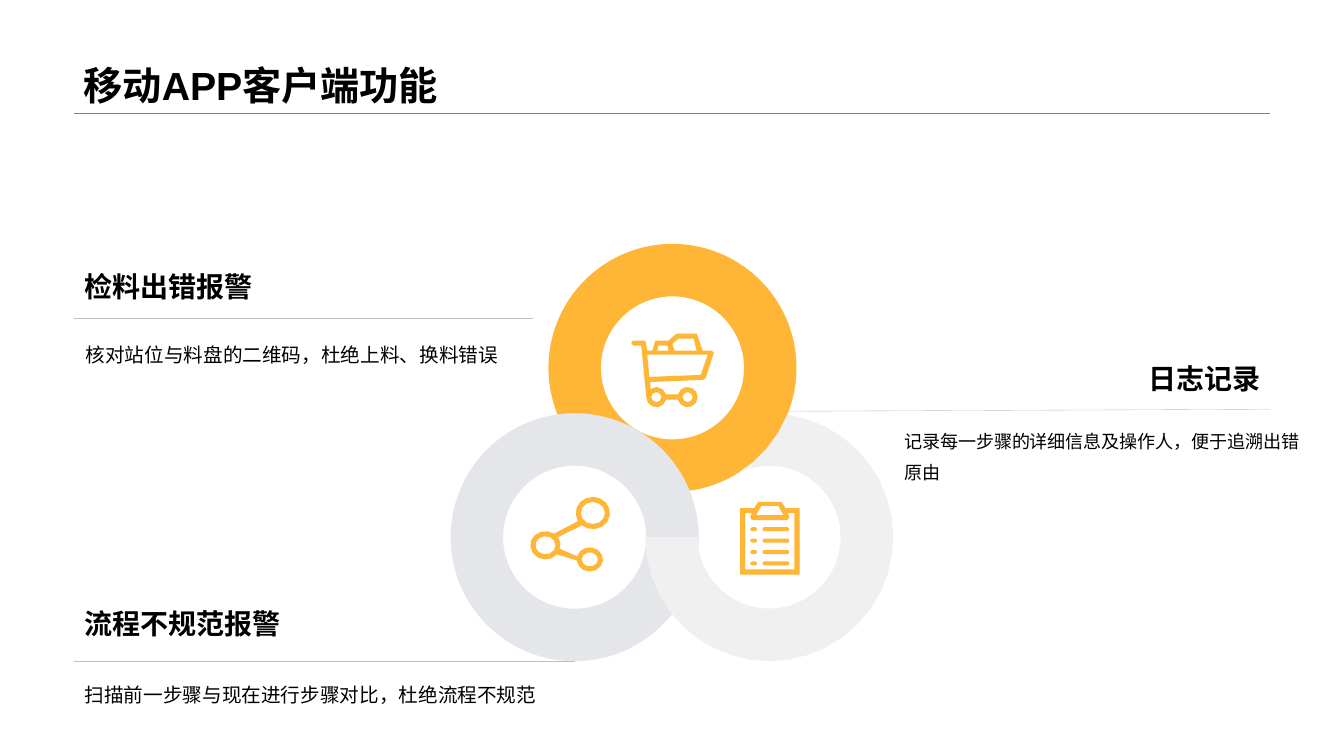
from dataclasses import dataclass
from math import cos, radians, sin, sqrt

from lxml import etree
from pptx import Presentation
from pptx.dml.color import RGBColor
from pptx.enum.shapes import MSO_CONNECTOR, MSO_SHAPE
from pptx.enum.text import MSO_ANCHOR, PP_ALIGN
from pptx.oxml.ns import qn
from pptx.util import Inches, Pt

STRAIGHT = MSO_CONNECTOR.STRAIGHT
DONUT = MSO_SHAPE.DONUT
TOP, MIDDLE, BOTTOM = MSO_ANCHOR.TOP, MSO_ANCHOR.MIDDLE, MSO_ANCHOR.BOTTOM
LEFT, RIGHT = PP_ALIGN.LEFT, PP_ALIGN.RIGHT
UNITS = 1000  # freeform units per inch


@dataclass(frozen=True)
class Theme:
    font: str = "Arial"
    ink: str = "000000"
    gold: str = "FFB535"
    steel: str = "E4E6EA"
    pale: str = "F0F0F0"
    rule: str = "808080"
    hair: str = "BFBFBF"
    title: float = 28
    head: float = 20
    body: float = 14
    small: float = 12.9


def arc(x, y, rx, ry, start, end):
    """Points along an ellipse, clockwise when end is above start."""
    # Small arcs need fewer points to look round
    steps = max(2, round(abs(end - start) * sqrt(rx) / 10))
    turns = [radians(start + (end - start) * i / steps)
             for i in range(steps + 1)]
    return [(x + rx * cos(t), y + ry * sin(t)) for t in turns]


def oval(x, y, rx, ry):
    return arc(x, y, rx, ry, 0, 360)[:-1]


def pill(left, right, y, r):
    return arc(left + r, y, r, r, 90, 270) + arc(right - r, y, r, r, -90, 90)


class Deck:
    def __init__(self, theme):
        self.theme = theme
        self.file = Presentation()
        self.file.slide_width = Inches(13.33)
        self.file.slide_height = Inches(7.5)
        self.slide = self.file.slides.add_slide(self.file.slide_layouts[6])
        self.shapes = self.slide.shapes

    def paint(self, shape, color):
        shape.shadow.inherit = False
        shape.fill.solid()
        shape.fill.fore_color.rgb = RGBColor.from_string(color)
        shape.line.fill.background()

    def text(self, words, box, size, bold=False, anchor=TOP, align=LEFT,
             space=None):
        frame = self.shapes.add_textbox(*map(Inches, box)).text_frame
        frame.word_wrap = True
        frame.vertical_anchor = anchor
        para = frame.paragraphs[0]
        para.alignment = align
        para.line_spacing = space
        run = para.add_run()
        run.text = words
        run.font.name = self.theme.font
        run.font.size = Pt(size)
        run.font.bold = bold
        run.font.color.rgb = RGBColor.from_string(self.theme.ink)

    def line(self, start, end, color):
        rule = self.shapes.add_connector(
            STRAIGHT, *map(Inches, start + end))
        rule.line.color.rgb = RGBColor.from_string(color)
        rule.line.width = Pt(0.25)
        etree.SubElement(rule._element.spPr, qn("a:effectLst"))

    def ring(self, x, y, outer, inner, color):
        ring = self.shapes.add_shape(
            DONUT, Inches(x - outer), Inches(y - outer),
            Inches(2 * outer), Inches(2 * outer))
        ring.adjustments[0] = (outer - inner) / (2 * outer)
        self.paint(ring, color)

    def form(self, loops, color):
        """One filled outline; later loops cut holes or add islands."""
        loops = [[(x * UNITS, y * UNITS) for x, y in loop] for loop in loops]
        pen = self.shapes.build_freeform(*loops[0][0],
                                         scale=Inches(1) / UNITS)
        for i, loop in enumerate(loops):
            if i:
                pen.move_to(*loop[0])
            pen.add_line_segments(loop[1:], close=True)
        self.paint(pen.convert_to_shape(), color)


def draw_rings(deck):
    theme = deck.theme
    outer, inner = 1.23, 0.71
    deck.ring(6.67, 3.65, outer, inner, theme.gold)
    deck.ring(5.7, 5.33, outer, inner, theme.steel)
    # Third ring stops where it meets the other two
    deck.form([arc(7.63, 5.33, outer, outer, -82, 180)
               + arc(7.63, 5.33, inner, inner, 180, -118)
               + arc(6.67, 3.65, outer, outer, 59, 22)], theme.pale)


def draw_share(deck):
    hub, top, low = (5.41, 5.41), (5.88, 5.09), (5.85, 5.55)
    edge = (arc(*hub, 0.15, 0.14, 40, 305)
            + arc(*top, 0.17, 0.16, 150, 490)
            + arc(*hub, 0.15, 0.14, -35, 15)
            + arc(*low, 0.13, 0.12, 195, 535))
    deck.form([edge, oval(*hub, 0.1, 0.09), oval(*top, 0.12, 0.11),
               oval(*low, 0.08, 0.07)], deck.theme.gold)


def draw_cart(deck):
    back, front = (6.51, 3.94), (6.82, 3.94)
    edge = ([(6.26, 3.4), (6.28, 3.38), (6.4, 3.38), (6.42, 3.48),
             (6.47, 3.48), (6.5, 3.38), (6.63, 3.38), (6.71, 3.31),
             (6.91, 3.31), (6.97, 3.48), (7.06, 3.48), (7.08, 3.5),
             (7, 3.75), (6.97, 3.77), (6.45, 3.79), (6.45, 3.87)]
            + arc(*back, 0.1, 0.1, 235, 345)
            + arc(*front, 0.1, 0.1, 195, 525)
            + arc(*back, 0.1, 0.1, 15, 180)
            + [(6.36, 3.43), (6.28, 3.43)])
    basket = [(6.42, 3.52), (7.02, 3.52), (6.95, 3.72), (6.44, 3.74)]
    crate = [(6.73, 3.36), (6.88, 3.36), (6.91, 3.48), (6.69, 3.48),
             (6.67, 3.41)]
    pack = [(6.53, 3.43), (6.62, 3.43), (6.63, 3.48), (6.52, 3.48)]
    wheels = [oval(*spot, 0.05, 0.05) for spot in (back, front)]
    deck.form([edge, basket, crate, pack, *wheels], deck.theme.gold)


def draw_board(deck):
    edge = [(7.34, 5.04), (7.48, 5.04), (7.52, 4.98), (7.75, 4.98),
            (7.79, 5.04), (7.93, 5.04), (7.93, 5.7), (7.34, 5.7)]
    sheet = [(7.39, 5.09), (7.46, 5.09), (7.44, 5.13), (7.46, 5.16),
             (7.81, 5.16), (7.83, 5.13), (7.81, 5.09), (7.88, 5.09),
             (7.88, 5.65), (7.39, 5.65)]
    clip = [(7.55, 5.02), (7.72, 5.02), (7.77, 5.11), (7.5, 5.11)]
    rows = [pill(left, right, 5.25 + 0.34 * i / 3, 0.02)
            for i in range(4)
            for left, right in ((7.44, 7.51), (7.56, 7.83))]
    deck.form([edge, sheet, clip, *rows], deck.theme.gold)


def main():
    theme = Theme()
    deck = Deck(theme)

    # Title
    deck.line((0.73, 1.12), (12.6, 1.12), theme.rule)
    deck.text("移动APP客户端功能", (0.73, 0, 11.87, 1.12), theme.title,
              bold=True, anchor=BOTTOM)

    # Rings and the rules beside them
    draw_rings(deck)
    for start, end in (((7.81, 4.08), (12.6, 4.06)),
                       ((5.7, 6.56), (0.73, 6.56)),
                       ((0.73, 3.16), (5.29, 3.16))):
        deck.line(start, end, theme.hair)

    # Icons
    draw_share(deck)
    draw_cart(deck)
    draw_board(deck)

    # Headings
    for words, box, anchor, align in (
            ("流程不规范报警", (0.74, 5.94, 5.88, 0.48), MIDDLE, LEFT),
            ("日志记录", (7.81, 3.51, 4.79, 0.48), MIDDLE, RIGHT),
            ("检料出错报警", (0.74, 2.62, 4.69, 0.48), TOP, LEFT)):
        deck.text(words, box, theme.head, True, anchor, align)

    # Details
    for words, box, size, space in (
            ("核对站位与料盘的二维码，杜绝上料、换料错误",
             (0.75, 3.24, 4.69, 1.59), theme.body, 1.5),
            ("扫描前一步骤与现在进行步骤对比，杜绝流程不规范",
             (0.74, 6.61, 4.69, 0.72), theme.body, 1.5),
            ("记录每一步骤的详细信息及操作人，便于追溯出错原由",
             (8.87, 4.14, 4.14, 0.72), theme.small, 1.4)):
        deck.text(words, box, size, space=space)

    deck.file.save("out.pptx")


if __name__ == "__main__":
    main()
